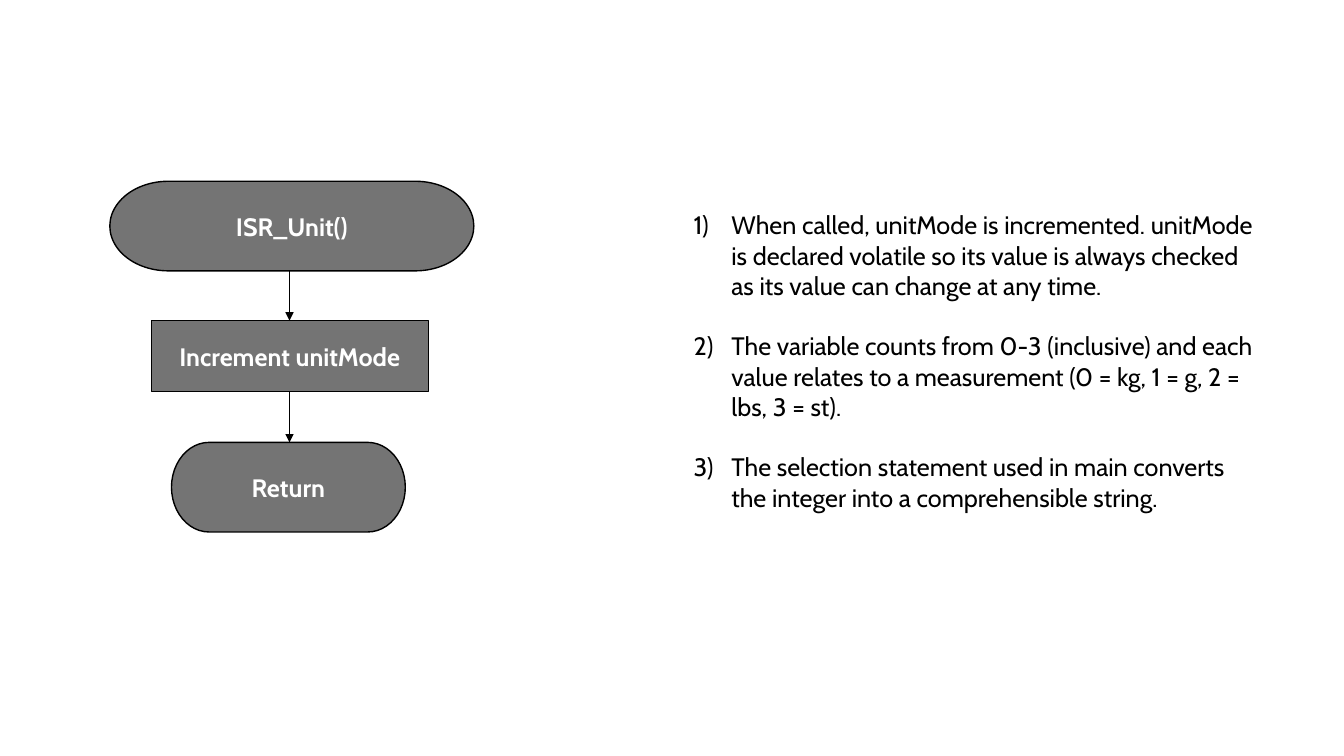
from dataclasses import dataclass
from itertools import pairwise

from pptx import Presentation
from pptx import util as u
from pptx.dml.color import RGBColor
from pptx.enum import shapes, text
from pptx.oxml.ns import qn
from lxml import etree


@dataclass
class Theme:
    face: str = "Cabin"
    size: int = 18
    gap: float = 21.6
    fill: RGBColor = RGBColor(0x74, 0x74, 0x74)
    ink: RGBColor = RGBColor(0, 0, 0)
    light: RGBColor = RGBColor(0xFF, 0xFF, 0xFF)


theme = Theme()


def add_run(para, words, color, bold=False):
    run = para.add_run()
    run.text = words
    run.font.name = theme.face
    run.font.size = u.Pt(theme.size)
    run.font.bold = bold
    run.font.color.rgb = color


deck = Presentation()
deck.slide_width, deck.slide_height = u.Pt(960), u.Pt(540)
slide = deck.slides.add_slide(deck.slide_layouts[1])
title = slide.shapes.title.element
title.getparent().remove(title)

kinds = shapes.MSO_SHAPE
steps = [
    ("ISR_Unit()", kinds.FLOWCHART_TERMINATOR, 78.5, 129.5, 260, 64),
    ("Increment unitMode", kinds.RECTANGLE, 108, 229, 198, 50.5),
    ("Return", kinds.FLOWCHART_TERMINATOR, 122.5, 316, 167, 64),
]
for words, kind, left, top, width, height in steps:
    box = slide.shapes.add_shape(kind, u.Pt(left), u.Pt(top), u.Pt(width), u.Pt(height))
    box.shadow.inherit = False
    box.fill.solid()
    box.fill.fore_color.rgb = theme.fill
    box.line.color.rgb = theme.ink
    box.line.width = u.Pt(1)
    frame = box.text_frame
    frame.word_wrap = True
    frame.vertical_anchor = text.MSO_ANCHOR.MIDDLE
    para = frame.paragraphs[0]
    para.alignment = text.PP_ALIGN.CENTER
    add_run(para, words, theme.light, True)

axis = u.Pt(206.8)
for (*_, top, width, height), (*_, end, _, _) in pairwise(steps):
    link = slide.shapes.add_connector(
        shapes.MSO_CONNECTOR.STRAIGHT, axis, u.Pt(top + height), axis, u.Pt(end))
    link.line.color.rgb = theme.ink
    link.line.width = u.Pt(1)
    etree.SubElement(link.line._get_or_add_ln(), qn("a:tailEnd"), type="triangle")
    etree.SubElement(link._element.spPr, qn("a:effectLst"))

notes = [
    "When called, unitMode is incremented. unitMode is declared volatile so its value "
    "is always checked as its value can change at any time.",
    "The variable counts from 0-3 (inclusive) and each value relates to a measurement "
    "(0 = kg, 1 = g, 2 = lbs, 3 = st).",
    "The selection statement used in main converts the integer into a comprehensible string.",
]
body = slide.placeholders[1]
body.left, body.top = u.Pt(488.2), u.Pt(146.2)
body.width, body.height = u.Pt(416), u.Pt(247)
frame = body.text_frame
frame.word_wrap = True
frame.auto_size = text.MSO_AUTO_SIZE.NONE
frame.vertical_anchor = text.MSO_ANCHOR.TOP
for rank, words in enumerate(notes):
    para = frame.add_paragraph() if rank else frame.paragraphs[0]
    props = para._p.get_or_add_pPr()
    props.set("marL", str(u.Pt(27)))
    props.set("indent", str(u.Pt(-27)))
    etree.SubElement(props, qn("a:buFont"), typeface=theme.face)
    etree.SubElement(props, qn("a:buAutoNum"), type="arabicParenR")
    para.space_before = u.Pt(theme.gap if rank else 0)
    add_run(para, words, theme.ink)

deck.save("out.pptx")
